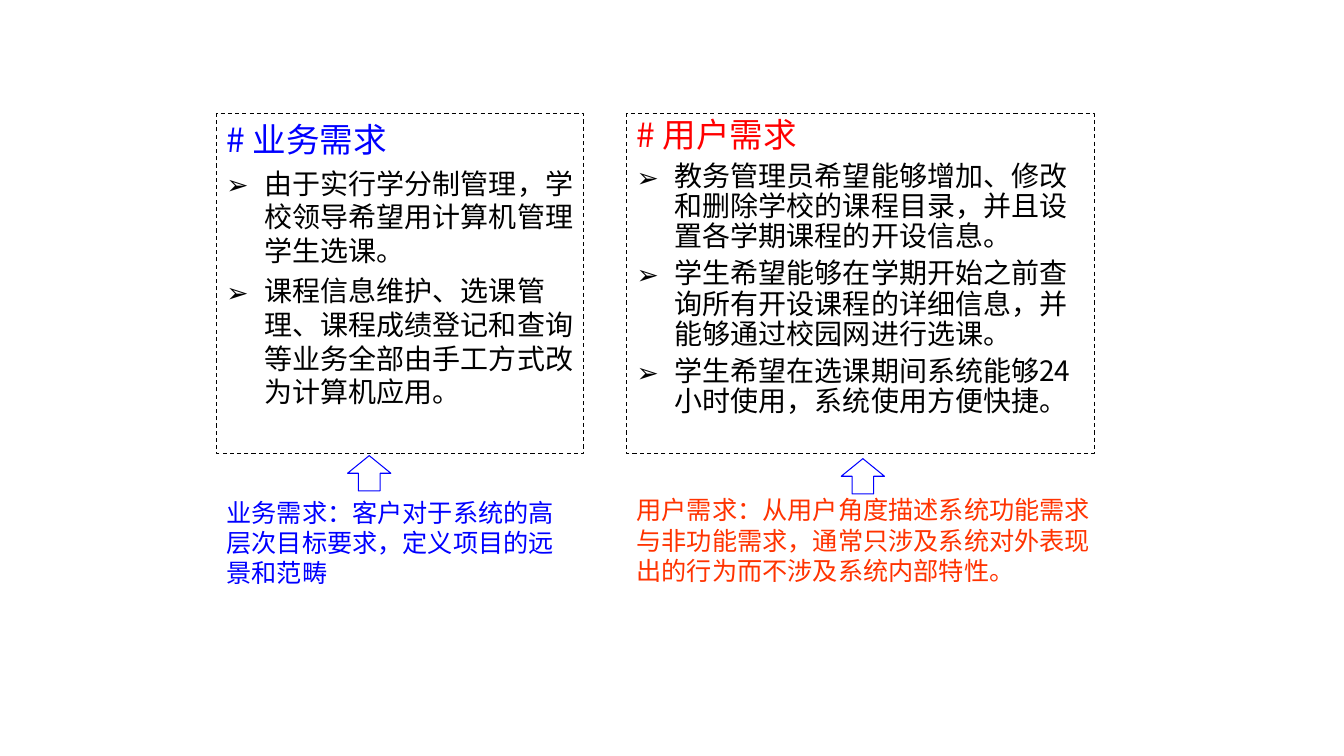
"""Build a slide that compares business requirements with user requirements."""
import pptx
import pptx.dml.color
import pptx.enum.dml
import pptx.enum.shapes
import pptx.enum.text
import pptx.oxml.ns
import pptx.util
from lxml import etree

Inches = pptx.util.Inches
Pt = pptx.util.Pt
RGBColor = pptx.dml.color.RGBColor

BLUE = RGBColor(0x00, 0x00, 0xFF)
RED = RGBColor(0xFF, 0x00, 0x00)
ORANGE = RGBColor(0xFF, 0x33, 0x00)
BLACK = RGBColor(0x00, 0x00, 0x00)
FACE = "Noto Sans CJK SC"

REQUIREMENTS = [
    {
        "heading": "# 业务需求",
        "points": [
            "由于实行学分制管理，学校领导希望用计算机管理学生选课。",
            "课程信息维护、选课管理、课程成绩登记和查询等业务全部由手工方式改为计算机应用。",
        ],
        "caption": "业务需求：客户对于系统的高层次目标要求，定义项目的远景和范畴",
        "colors": (BLUE, BLUE),
        "left": 2.15, "panel_width": 3.64, "caption_width": 3.64,
        "caption_top": 4.88, "arrow_at": (3.45, 4.52), "spacing": 1.0,
    },
    {
        "heading": "# 用户需求",
        "points": [
            "教务管理员希望能够增加、修改和删除学校的课程目录，并且设置各学期课程的开设信息。",
            "学生希望能够在学期开始之前查询所有开设课程的详细信息，并能够通过校园网进行选课。",
            "学生希望在选课期间系统能够24小时使用，系统使用方便快捷。",
        ],
        "caption": "用户需求：从用户角度描述系统功能需求与非功能需求，通常只涉及系统对外表现出的行为而不涉及系统内部特性。",
        "colors": (RED, ORANGE),
        "left": 6.22, "panel_width": 4.64, "caption_width": 4.81,
        "caption_top": 4.86, "arrow_at": (8.35, 4.55), "spacing": 0.9,
    },
]
PANEL_TOP, PANEL_HEIGHT, CAPTION_HEIGHT = 1.13, 3.37, 1.0
ARROW_SIZE = (0.43, 0.35)
HANGING = Inches(0.38)

FRAME_FORMAT = {
    "word_wrap": True,
    "vertical_anchor": pptx.enum.text.MSO_ANCHOR.TOP,
    "margin_left": Inches(0.1), "margin_right": Inches(0.1),
    "margin_top": Inches(0.05), "margin_bottom": Inches(0.05),
}


def apply(target, values):
    for attribute, value in values.items():
        setattr(target, attribute, value)


def add_child(parent, tag, **attributes):
    return etree.SubElement(parent, pptx.oxml.ns.qn(tag), attributes)


def write(paragraph, text, size, color, spacing=1.0, before=0):
    apply(paragraph, {"alignment": pptx.enum.text.PP_ALIGN.LEFT,
                      "line_spacing": spacing, "space_before": Pt(before)})
    paragraph._p.get_or_add_pPr().set("hangingPunct", "0")
    run = paragraph.add_run()
    run.text = text
    apply(run.font, {"size": Pt(size), "name": FACE})
    run.font.color.rgb = color
    add_child(run.font._element, "a:ea", typeface=FACE)


def hang(paragraph, bullet=None):
    properties = paragraph._p.get_or_add_pPr()
    properties.set("marL", str(HANGING))
    properties.set("indent", str(-HANGING))
    if bullet:
        bullet_color = add_child(properties, "a:buClr")
        add_child(bullet_color, "a:srgbClr", val=str(BLACK))
        add_child(properties, "a:buSzPct", val="95000")
        add_child(properties, "a:buFont", typeface=FACE)
        add_child(properties, "a:buChar", char=bullet)


def add_outline(slide, preset, box, color):
    outline = slide.shapes.add_shape(preset, *map(Inches, box))
    outline.shadow.inherit = False
    outline.fill.background()
    outline.line.color.rgb = color
    outline.line.width = Pt(0.75)
    return outline


def add_requirement(slide, item):
    shapes = pptx.enum.shapes.MSO_SHAPE
    heading_color, caption_color = item["colors"]
    panel = add_outline(
        slide, shapes.RECTANGLE,
        (item["left"], PANEL_TOP, item["panel_width"], PANEL_HEIGHT), BLACK)
    panel.line.dash_style = pptx.enum.dml.MSO_LINE.DASH
    apply(panel.text_frame, FRAME_FORMAT)
    heading = panel.text_frame.paragraphs[0]
    write(heading, item["heading"], 24, heading_color, item["spacing"])
    hang(heading)
    for text in item["points"]:
        point = panel.text_frame.add_paragraph()
        write(point, text, 20, BLACK, item["spacing"], before=5)
        hang(point, "➢")

    caption = slide.shapes.add_textbox(*map(Inches, (
        item["left"], item["caption_top"], item["caption_width"], CAPTION_HEIGHT)))
    apply(caption.text_frame, FRAME_FORMAT)
    write(caption.text_frame.paragraphs[0], item["caption"], 18, caption_color)

    add_outline(slide, shapes.UP_ARROW, item["arrow_at"] + ARROW_SIZE, BLUE)


def main():
    deck = pptx.Presentation()
    apply(deck, {"slide_width": Inches(13.34), "slide_height": Inches(7.5)})
    slide = deck.slides.add_slide(deck.slide_layouts[6])
    for item in REQUIREMENTS:
        add_requirement(slide, item)
    deck.save("out.pptx")


if __name__ == "__main__":
    main()
